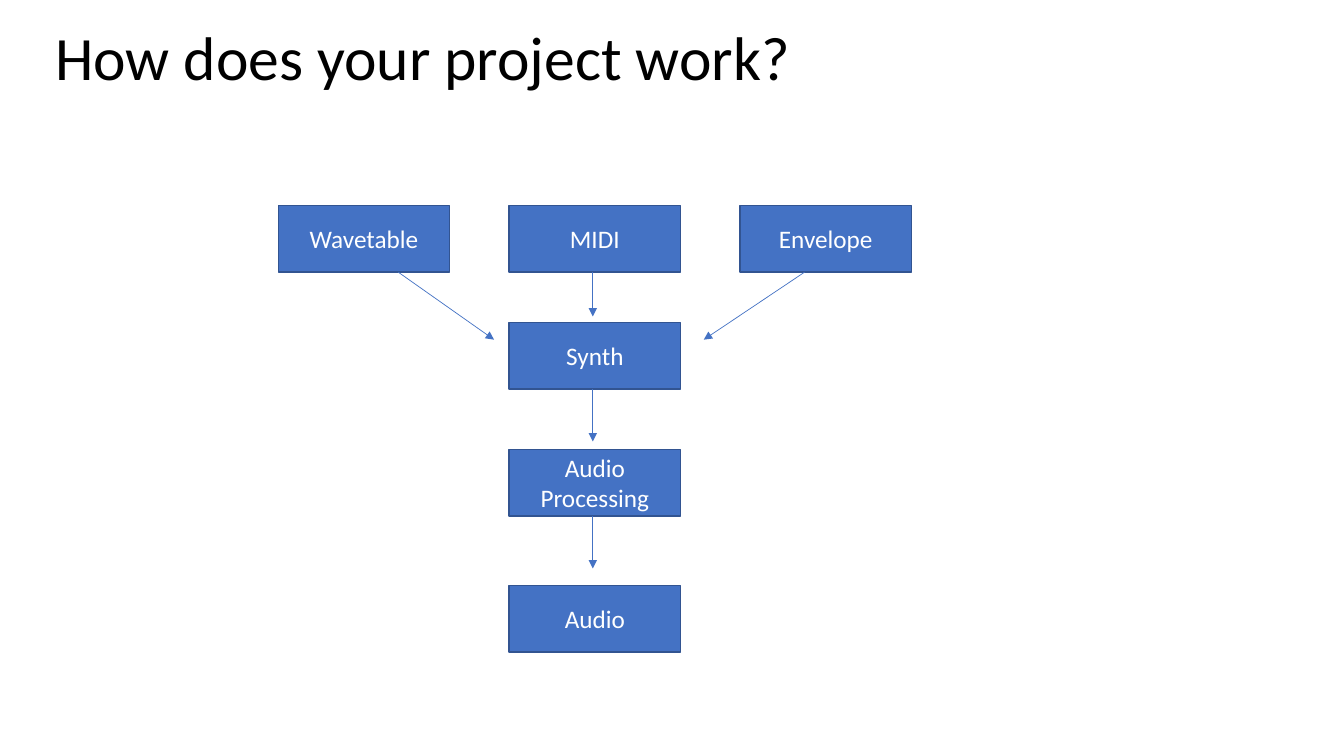
from dataclasses import dataclass
from lxml.etree import SubElement
from pptx import Presentation
from pptx.dml.color import RGBColor
from pptx.enum.shapes import MSO_CONNECTOR as Connector, MSO_SHAPE as Shape
from pptx.enum.text import MSO_ANCHOR as Anchor, PP_ALIGN as Align
from pptx.oxml.ns import qn
from pptx.util import Inches, Pt


@dataclass(frozen=True)
class Theme:
    font: str = "Calibri"
    title_size: Pt = Pt(44)
    box_size: Pt = Pt(18)
    title_color: RGBColor = RGBColor(0, 0, 0)
    box_text: RGBColor = RGBColor(255, 255, 255)
    accent: RGBColor = RGBColor.from_string("4472C4")
    outline: RGBColor = RGBColor.from_string("325491")
    outline_width: Pt = Pt(1)
    arrow_width: Pt = Pt(0.5)


theme = Theme()


def write(shape, text, size, color, align):
    frame = shape.text_frame
    frame.word_wrap = True
    frame.vertical_anchor = Anchor.MIDDLE
    paragraph = frame.paragraphs[0]
    paragraph.text = text
    paragraph.alignment = align
    paragraph.font.name = theme.font
    paragraph.font.size = size
    paragraph.font.color.rgb = color
    return paragraph


presentation = Presentation()
presentation.slide_width = Inches(13.33)
presentation.slide_height = Inches(7.5)
slide = presentation.slides.add_slide(presentation.slide_layouts[6])

title = slide.shapes.add_textbox(Inches(0.45), Inches(0.17), Inches(11.5), Inches(0.86))
heading = write(title, "How does your project work?", theme.title_size, theme.title_color, Align.LEFT)
heading.line_spacing = 0.9

box_width, box_height = 1.7, 0.66
columns = [2.76 + 2.29 * column for column in range(3)]
input_row, synth_row, processing_row, audio_row = 2.04, 3.2, 4.46, 5.81

stages = [
    ("Wavetable", columns[0], input_row),
    ("MIDI", columns[1], input_row),
    ("Envelope", columns[2], input_row),
    ("Synth", columns[1], synth_row),
    ("Audio Processing", columns[1], processing_row),
    ("Audio", columns[1], audio_row),
]
for label, left, top in stages:
    box = slide.shapes.add_shape(
        Shape.RECTANGLE, Inches(left), Inches(top), Inches(box_width), Inches(box_height)
    )
    box.shadow.inherit = False
    box.fill.solid()
    box.fill.fore_color.rgb = theme.accent
    box.line.color.rgb = theme.outline
    box.line.width = theme.outline_width
    write(box, label, theme.box_size, theme.box_text, Align.CENTER)

flow_x = 5.88
input_bottom = input_row + box_height
side_end = 3.37
arrows = [
    (7.98, input_bottom, 6.98, side_end),
    (3.95, input_bottom, 4.9, side_end),
    (flow_x, input_bottom, flow_x, 3.14),
]
for row in (synth_row, processing_row):
    start = row + box_height
    arrows.append((flow_x, start, flow_x, start + 0.52))

for ends in arrows:
    arrow = slide.shapes.add_connector(Connector.STRAIGHT, *map(Inches, ends))
    arrow.line.color.rgb = theme.accent
    arrow.line.width = theme.arrow_width
    SubElement(arrow.line._get_or_add_ln(), qn("a:tailEnd"), type="triangle")
    SubElement(arrow._element.spPr, qn("a:effectLst"))

presentation.save("out.pptx")
